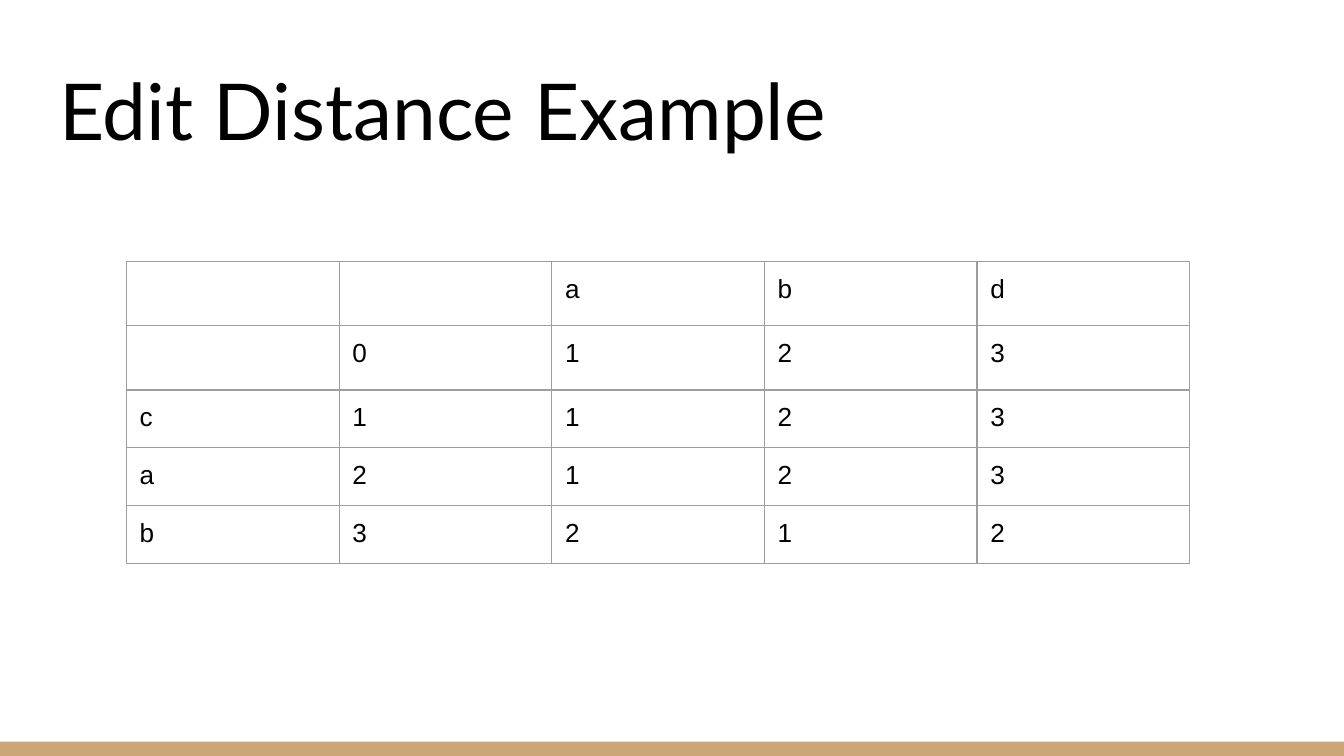
from dataclasses import dataclass

from lxml.etree import SubElement
from pptx import Presentation
from pptx.dml.color import RGBColor as RGB
from pptx.enum.shapes import MSO_SHAPE as SHAPE
from pptx.enum.text import MSO_ANCHOR as ANCHOR
from pptx.oxml.ns import qn
from pptx.util import Cm, Pt


@dataclass(frozen=True)
class Theme:
    ink: str = "000000"
    band: str = "CCA677"
    grid: str = "9E9E9E"
    title_font: str = "Lato"
    cell_font: str = "Arial"
    title_size: int = 42
    cell_size: int = 14
    grid_width: float = 0.75
    inset: float = 0.25


def apply(target, **values):
    for name, value in values.items():
        setattr(target, name, value)


class SlideBuilder:
    def __init__(self, slide, theme):
        self.s = slide
        self.theme = theme
        self.margins = {f"margin_{side}": Cm(theme.inset)
                        for side in ("left", "top", "right", "bottom")}

    def add_text(self, p, text, font, size):
        r = p.add_run()
        r.text = text
        apply(r.font, name=font, size=Pt(size))
        r.font.color.rgb = RGB.from_string(self.theme.ink)

    def band(self, *box):
        sp = self.s.shapes.add_shape(SHAPE.RECTANGLE, *map(Cm, box))
        sp.shadow.inherit = False
        sp.fill.solid()
        sp.fill.fore_color.rgb = RGB.from_string(self.theme.band)
        sp.line.fill.background()

    def title(self, text, *box):
        tf = self.s.shapes.add_textbox(*map(Cm, box)).text_frame
        apply(tf, word_wrap=True, vertical_anchor=ANCHOR.BOTTOM, **self.margins)
        self.add_text(tf.paragraphs[0], text, self.theme.title_font, self.theme.title_size)

    def borders(self, cell):
        tc_pr = cell._tc.get_or_add_tcPr()
        for side in ("lnL", "lnR", "lnT", "lnB"):
            ln = SubElement(tc_pr, qn(f"a:{side}"), w=str(Pt(self.theme.grid_width)))
            fill = SubElement(ln, qn("a:solidFill"))
            SubElement(fill, qn("a:srgbClr"), val=self.theme.grid)

    def cell(self, cell, text):
        apply(cell, **self.margins)
        self.borders(cell)
        cell.fill.background()
        p = cell.text_frame.paragraphs[0]
        if text:
            self.add_text(p, text, self.theme.cell_font, self.theme.cell_size)
        else:
            end = SubElement(p._p, qn("a:endParaRPr"))
            end.set("sz", str(self.theme.cell_size * 100))

    def table(self, rows, left, top, col_width, heights):
        width = col_width * len(rows[0])
        frame = self.s.shapes.add_table(
            len(rows), len(rows[0]), Cm(left), Cm(top), Cm(width), Cm(sum(heights)))
        table = frame.table
        apply(table, first_row=False, horz_banding=False)
        for col in table.columns:
            col.width = Cm(col_width)
        for row, height, texts in zip(table.rows, heights, rows):
            row.height = Cm(height)
            for cell, text in zip(row.cells, texts):
                self.cell(cell, text)


def main():
    prs = Presentation()
    apply(prs, slide_width=Cm(25.4), slide_height=Cm(14.29))
    s = SlideBuilder(prs.slides.add_slide(prs.slide_layouts[6]), Theme())
    s.band(0, 14.02, 25.4, 0.27)
    s.title("Edit Distance Example", 0.87, 0.89, 23.67, 2.31)
    distances = [
        ["", "", "a", "b", "d"],
        ["", "0", "1", "2", "3"],
        ["c", "1", "1", "2", "3"],
        ["a", "2", "1", "2", "3"],
        ["b", "3", "2", "1", "2"],
    ]
    s.table(distances, 2.39, 4.95, 4.02, [1.21] * 2 + [1.06] * 3)
    prs.save("out.pptx")


if __name__ == "__main__":
    main()
